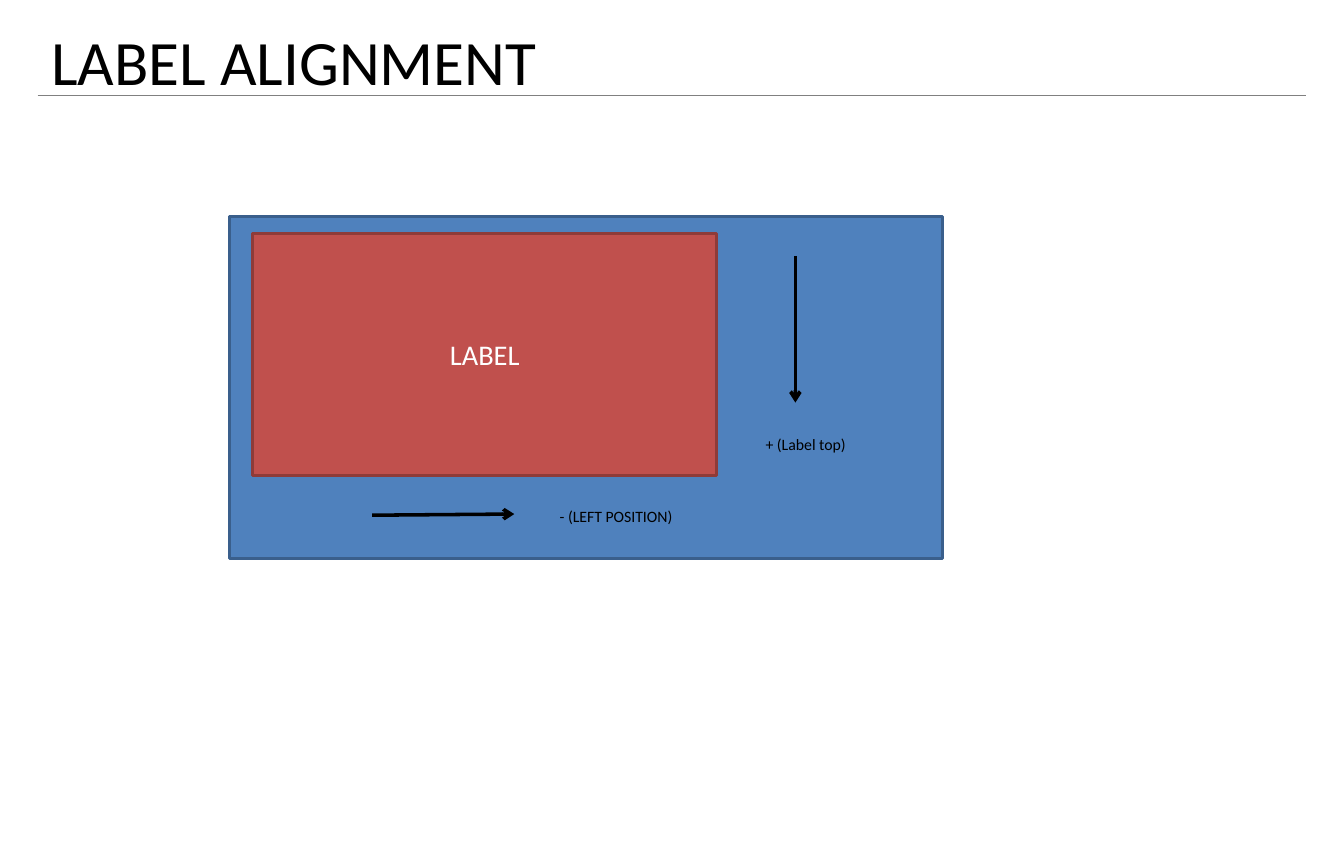
import pptx
import pptx.dml.color
import pptx.enum.shapes
import pptx.enum.text
import pptx.oxml
import pptx.oxml.ns
import pptx.util

Inches = pptx.util.Inches
RGBColor = pptx.dml.color.RGBColor
Align = pptx.enum.text.PP_ALIGN
Anchor = pptx.enum.text.MSO_ANCHOR
AutoSize = pptx.enum.text.MSO_AUTO_SIZE

BLACK = RGBColor(0x00, 0x00, 0x00)
WHITE = RGBColor(0xFF, 0xFF, 0xFF)
GREY = RGBColor(0x80, 0x80, 0x80)
BLUE = RGBColor(0x4F, 0x81, 0xBD)
DARK_BLUE = RGBColor(0x3A, 0x5F, 0x8C)
RED = RGBColor(0xC0, 0x50, 0x4D)
DARK_RED = RGBColor(0x8E, 0x3B, 0x39)


def write_text(frame, text, *, size, color=BLACK, font="Calibri",
               align=Align.LEFT, anchor=Anchor.TOP, fit=AutoSize.NONE):
    frame.word_wrap = True
    frame.auto_size = fit
    frame.vertical_anchor = anchor
    para = frame.paragraphs[0]
    para.alignment = align
    span = para.add_run()
    span.text = text
    span.font.name = font
    span.font.size = pptx.util.Pt(size)
    span.font.color.rgb = color


class SlideBuilder:
    """Draws styled elements on the current page."""

    def __init__(self, page):
        self.page = page

    def rectangle(self, left, top, width, height, fill, outline):
        box = self.page.shapes.add_shape(
            pptx.enum.shapes.MSO_SHAPE.RECTANGLE,
            Inches(left), Inches(top), Inches(width), Inches(height))
        box.shadow.inherit = False
        box.fill.solid()
        box.fill.fore_color.rgb = fill
        box.line.color.rgb = outline
        box.line.width = pptx.util.Pt(2)
        return box

    def text_box(self, left, top, width, height, text, inset=(0.1, 0.05),
                 **style):
        box = self.page.shapes.add_textbox(
            Inches(left), Inches(top), Inches(width), Inches(height))
        frame = box.text_frame
        frame.margin_left = frame.margin_right = Inches(inset[0])
        frame.margin_top = frame.margin_bottom = Inches(inset[1])
        write_text(frame, text, **style)

    def line(self, start, end, color, width, arrow=False):
        line = self.page.shapes.add_connector(
            pptx.enum.shapes.MSO_CONNECTOR.STRAIGHT,
            *(Inches(value) for value in (*start, *end)))
        line.line.color.rgb = color
        line.line.width = pptx.util.Pt(width)
        properties = line._element.spPr
        namespace = pptx.oxml.ns.nsdecls("a")
        if arrow:
            outline = properties.find(pptx.oxml.ns.qn("a:ln"))
            outline.append(pptx.oxml.parse_xml(
                f'<a:tailEnd {namespace} type="arrow"/>'))
        properties.append(pptx.oxml.parse_xml(f'<a:effectLst {namespace}/>'))


def main():
    # The page is 30 cm wide
    deck = pptx.Presentation()
    deck.slide_width = pptx.util.Cm(30)
    deck.slide_height = Inches(7.5)
    builder = SlideBuilder(deck.slides.add_slide(deck.slide_layouts[6]))

    # Heading and its rule
    builder.line((0.33, 0.84), (11.48, 0.84), GREY, 0.75)
    builder.text_box(0.34, 0.14, 11.11, 0.71, "LABEL ALIGNMENT",
                     inset=(0.11, 0.06), size=40)

    # Backing sheet with the label on it
    builder.rectangle(2.02, 1.9, 6.26, 3.01, BLUE, DARK_BLUE)
    label = builder.rectangle(2.22, 2.05, 4.08, 2.13, RED, DARK_RED)
    write_text(label.text_frame, "LABEL", size=18, color=WHITE,
               align=Align.CENTER, anchor=Anchor.MIDDLE)

    # Offset directions and their captions
    offsets = [
        ((3.27, 4.53), (4.52, 4.52), (4.82, 4.41), "- (LEFT POSITION)"),
        ((6.99, 2.25), (6.99, 3.54), (6.63, 3.77), "+ (Label top)"),
    ]
    for start, end, corner, caption in offsets:
        builder.line(start, end, BLACK, 2.25, arrow=True)
        builder.text_box(*corner, 1.27, 0.27, caption, size=10,
                         fit=AutoSize.SHAPE_TO_FIT_TEXT)

    deck.save("out.pptx")


if __name__ == "__main__":
    main()
